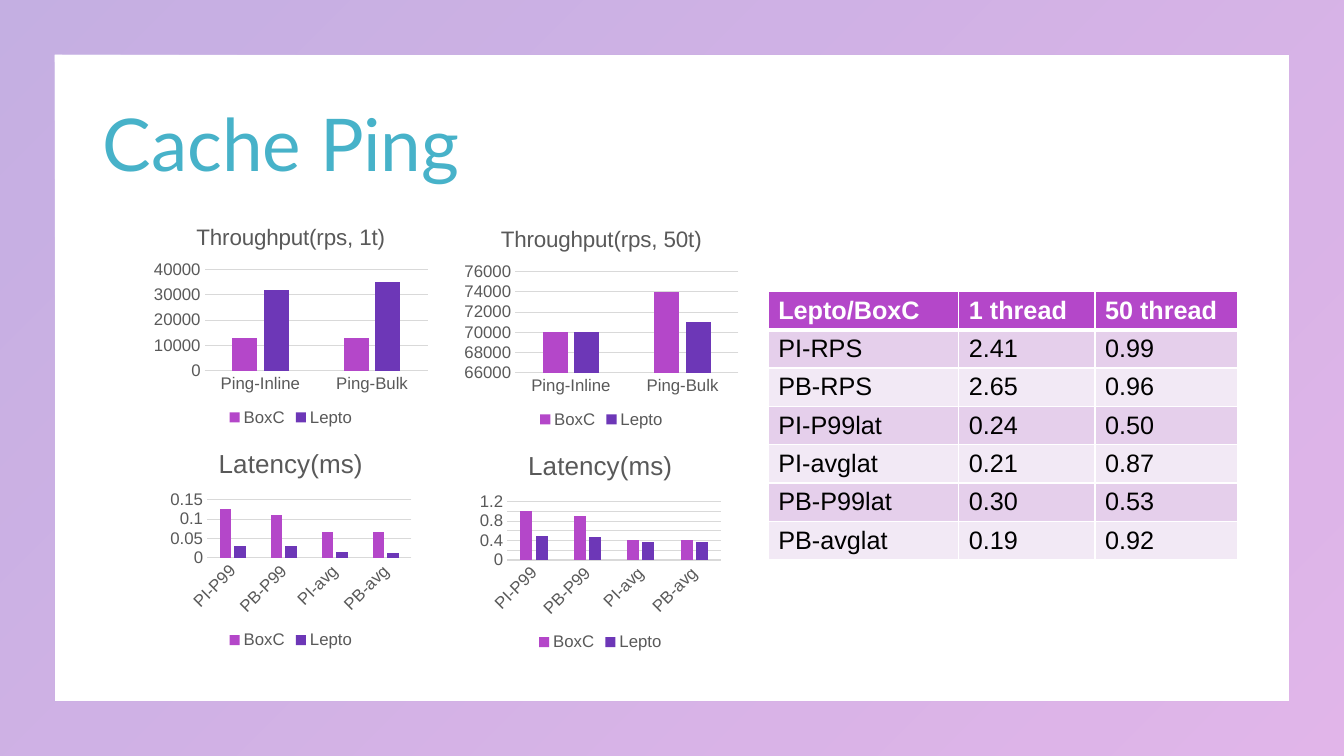
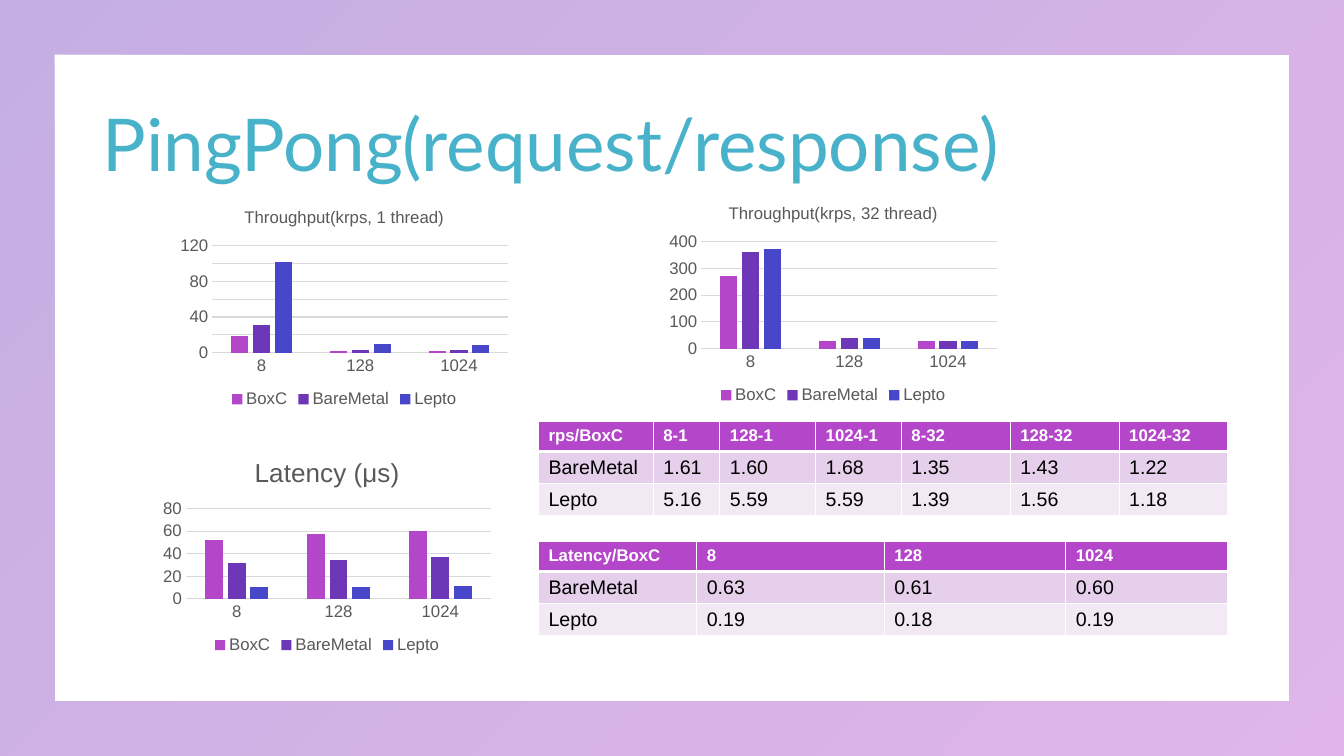
from lxml import etree
from pptx import Presentation
from pptx.chart.data import CategoryChartData
from pptx.dml.color import RGBColor
from pptx.enum import chart as chart_enum, shapes, text
from pptx.oxml.ns import qn
from pptx.util import Inches, Pt

TEAL = RGBColor(0x47, 0xB2, 0xC9)
MAGENTA = RGBColor(0xB4, 0x47, 0xC9)
PURPLE = RGBColor(0x6D, 0x37, 0xB7)
BLUE = RGBColor(0x48, 0x47, 0xC9)
GRAY = RGBColor(0x59, 0x59, 0x59)
GRID = RGBColor(0xD9, 0xD9, 0xD9)
BAND_DARK = RGBColor(0xE5, 0xCF, 0xEB)
BAND_LIGHT = RGBColor(0xF2, 0xE9, 0xF5)
WHITE = RGBColor(0xFF, 0xFF, 0xFF)
BLACK = RGBColor(0, 0, 0)

BODY_FONT = "Arial"
SERIES_COLORS = {"BoxC": MAGENTA, "BareMetal": PURPLE, "Lepto": BLUE}
PAIR_COLORS = {"BoxC": MAGENTA, "Lepto": PURPLE}
LATENCY_TITLE_SIZE = 18.6
TITLE_BOX = (0.92, 0.74, 11.5, 1.45)


def apply_format(target, **values):
    for name, value in values.items():
        setattr(target, name, value)


def format_font(font, size, color, bold=False):
    apply_format(font, name=BODY_FONT, size=Pt(size), bold=bold)
    font.color.rgb = color


def place(shape, box):
    names = ("left", "top", "width", "height")
    apply_format(shape, **dict(zip(names, map(Inches, box))))


def apply_gradient(fill, stops, angle=0):
    """Fill with two (colour, opacity percent) stops; angle runs clockwise."""
    fill.gradient()
    fill.gradient_angle = (360 - angle) % 360
    for stop, (color, opacity) in zip(fill.gradient_stops, stops):
        stop.color.rgb = color
        if opacity < 100:
            rgb = stop._gs.find(qn("a:srgbClr"))
            etree.SubElement(rgb, qn("a:alpha"), val=str(opacity * 1000))


def add_frame(presentation, slide):
    """Draw the translucent border and move it behind everything on the layout."""
    frame = slide.shapes.add_shape(
        shapes.MSO_SHAPE.FRAME, 0, 0,
        presentation.slide_width, presentation.slide_height)
    frame.adjustments[0] = 0.072
    frame.shadow.inherit = False
    frame.line.fill.background()
    apply_gradient(frame.fill, [(PURPLE, 40), (MAGENTA, 40)], 45)
    slide.slide_layout.shapes._spTree.insert(2, frame._element)


def add_title_slide(presentation, layout, title):
    slide = presentation.slides.add_slide(layout)
    frame = slide.shapes.title.text_frame
    frame.text = title
    apply_format(frame, word_wrap=True, auto_size=text.MSO_AUTO_SIZE.NONE,
                 vertical_anchor=text.MSO_ANCHOR.MIDDLE)
    paragraph = frame.paragraphs[0]
    apply_format(paragraph, alignment=text.PP_ALIGN.LEFT, line_spacing=0.9)
    font = paragraph.runs[0].font
    apply_format(font, name="Lato", size=Pt(52))
    apply_gradient(font.fill, [(TEAL, 100), (MAGENTA, 70)])
    return slide


def format_axis(axis):
    apply_format(axis, major_tick_mark=chart_enum.XL_TICK_MARK.NONE,
                 minor_tick_mark=chart_enum.XL_TICK_MARK.NONE)
    format_font(axis.tick_labels.font, 12, GRAY)
    # This rotation value lets labels turn by themselves when space is short.
    for body in axis._element.iter(qn("a:bodyPr")):
        body.set("rot", "-60000000")
        body.set("vert", "horz")


def format_line(line, color, width):
    line.color.rgb = color
    line.width = Pt(width)


def add_column_chart(slide, box, title, title_size, categories, series, colors, scale):
    """Add clustered columns; scale is (minimum, maximum, major unit)."""
    data = CategoryChartData()
    data.categories = categories
    for name, values in zip(colors, series):
        data.add_series(name, values)
    chart = slide.shapes.add_chart(
        chart_enum.XL_CHART_TYPE.COLUMN_CLUSTERED, *map(Inches, box), data).chart
    format_font(chart.font, 10, BLACK)

    chart.has_title = True
    chart.chart_title.text_frame.text = title
    paragraph = chart.chart_title.text_frame.paragraphs[0]
    for part in (paragraph, paragraph.runs[0]):
        format_font(part.font, title_size, GRAY)

    chart.has_legend = True
    apply_format(chart.legend, include_in_layout=False,
                 position=chart_enum.XL_LEGEND_POSITION.BOTTOM)
    format_font(chart.legend.font, 12, GRAY)

    category_axis, value_axis = chart.category_axis, chart.value_axis
    for axis in (category_axis, value_axis):
        format_axis(axis)
    format_line(category_axis.format.line, GRID, 0.75)
    format_line(value_axis.major_gridlines.format.line, GRID, 0.75)
    value_axis.format.line.fill.background()
    apply_format(value_axis, **dict(zip(
        ("minimum_scale", "maximum_scale", "major_unit"), scale)))

    plot = chart.plots[0]
    apply_format(plot, gap_width=219, overlap=-27, vary_by_categories=False)
    for column, color in zip(plot.series, colors.values()):
        column.format.fill.solid()
        column.format.fill.fore_color.rgb = color


def add_borders(cell, bottom_width):
    properties = cell._tc.get_or_add_tcPr()
    for side, width in (("L", 1), ("R", 1), ("T", 1), ("B", bottom_width)):
        line = etree.SubElement(properties, qn(f"a:ln{side}"), w=str(Pt(width)))
        fill = etree.SubElement(line, qn("a:solidFill"))
        etree.SubElement(fill, qn("a:srgbClr"), val=str(WHITE))


def add_ratio_table(slide, left, top, widths, row_height, rows, header_size, body_size):
    table = slide.shapes.add_table(
        len(rows), len(widths), Inches(left), Inches(top),
        Inches(sum(widths)), Inches(row_height * len(rows))).table
    for column, width in zip(table.columns, widths):
        column.width = Inches(width)
    for row_index, values in enumerate(rows):
        is_header = row_index == 0
        if is_header:
            background, size, color = MAGENTA, header_size, WHITE
        else:
            background = BAND_DARK if row_index % 2 else BAND_LIGHT
            size, color = body_size, BLACK
        for column_index, value in enumerate(values):
            cell = table.cell(row_index, column_index)
            add_borders(cell, 3 if is_header else 1)
            cell.fill.solid()
            cell.fill.fore_color.rgb = background
            cell.text = value
            run = cell.text_frame.paragraphs[0].runs[0]
            format_font(run.font, size, color, is_header)


def fill_ping_slide(slide):
    requests = ["Ping-Inline", "Ping-Bulk"]
    latencies = ["PI-P99", "PB-P99", "PI-avg", "PB-avg"]
    charts = [
        ((1.47, 2.07, 2.83, 2.2), "Throughput(rps, 1t)", 16, requests,
         [(13000, 13000), (32000, 35000)], (0, 40000, 10000)),
        ((1.64, 4.28, 2.49, 2.2), "Latency(ms)", LATENCY_TITLE_SIZE, latencies,
         [(0.127, 0.111, 0.067, 0.067), (0.031, 0.031, 0.014, 0.013)],
         (0, 0.15, 0.05)),
        ((4.55, 2.09, 2.83, 2.2), "Throughput(rps, 50t)", 16, requests,
         [(70000, 74000), (70000, 71000)], (66000, 76000, 2000)),
        ((4.71, 4.3, 2.49, 2.2), "Latency(ms)", LATENCY_TITLE_SIZE, latencies,
         [(1.01, 0.9, 0.42, 0.41), (0.5, 0.48, 0.37, 0.37)], (0, 1.2, 0.2)),
    ]
    for box, title, size, categories, series, scale in charts:
        add_column_chart(slide, box, title, size, categories, series,
                         PAIR_COLORS, scale)
    add_ratio_table(slide, 7.62, 2.89, [1.89, 1.35, 1.41], 0.38, [
        ("Lepto/BoxC", "1 thread", "50 thread"),
        ("PI-RPS", "2.41", "0.99"),
        ("PB-RPS", "2.65", "0.96"),
        ("PI-P99lat", "0.24", "0.50"),
        ("PI-avglat", "0.21", "0.87"),
        ("PB-P99lat", "0.30", "0.53"),
        ("PB-avglat", "0.19", "0.92"),
    ], 18, 18)


def fill_pingpong_slide(slide):
    charts = [
        (1.72, 1.93, "Throughput(krps, 1 thread)", 12,
         [(19, 2, 2), (31, 3, 3), (102, 10, 9)], (0, 120, 20)),
        (1.55, 4.37, "Latency (μs)", LATENCY_TITLE_SIZE,
         [(52, 57, 60), (32, 34, 37), (10, 10, 11)], (0, 80, 20)),
        (6.57, 1.89, "Throughput(krps, 32 thread)", 12,
         [(270, 30, 30), (360, 40, 30), (370, 40, 30)], (0, 400, 100)),
    ]
    for left, top, title, size, series, scale in charts:
        add_column_chart(slide, (left, top, 3.39, 2.16), title, size,
                         ["8", "128", "1024"], series, SERIES_COLORS, scale)
    tables = [
        (4.18, [1.14, 0.66, 0.95, 0.85, 1.08, 1.08, 1.08], [
            ("rps/BoxC", "8-1", "128-1", "1024-1", "8-32", "128-32", "1024-32"),
            ("BareMetal", "1.61", "1.60", "1.68", "1.35", "1.43", "1.22"),
            ("Lepto", "5.16", "5.59", "5.59", "1.39", "1.56", "1.18"),
        ]),
        (5.37, [1.57, 1.86, 1.8, 1.61], [
            ("Latency/BoxC", "8", "128", "1024"),
            ("BareMetal", "0.63", "0.61", "0.60"),
            ("Lepto", "0.19", "0.18", "0.19"),
        ]),
    ]
    for top, widths, rows in tables:
        add_ratio_table(slide, 5.34, top, widths, 0.3, rows, 12, 14)


def main():
    presentation = Presentation()
    apply_format(presentation, slide_width=Inches(13.33), slide_height=Inches(7.5))
    layout = presentation.slide_layouts.get_by_name("Title Only")
    place(layout.placeholders[0], TITLE_BOX)

    ping = add_title_slide(presentation, layout, "Cache Ping")
    add_frame(presentation, ping)
    fill_ping_slide(ping)
    fill_pingpong_slide(
        add_title_slide(presentation, layout, "PingPong(request/response)"))
    presentation.save("out.pptx")


if __name__ == "__main__":
    main()
